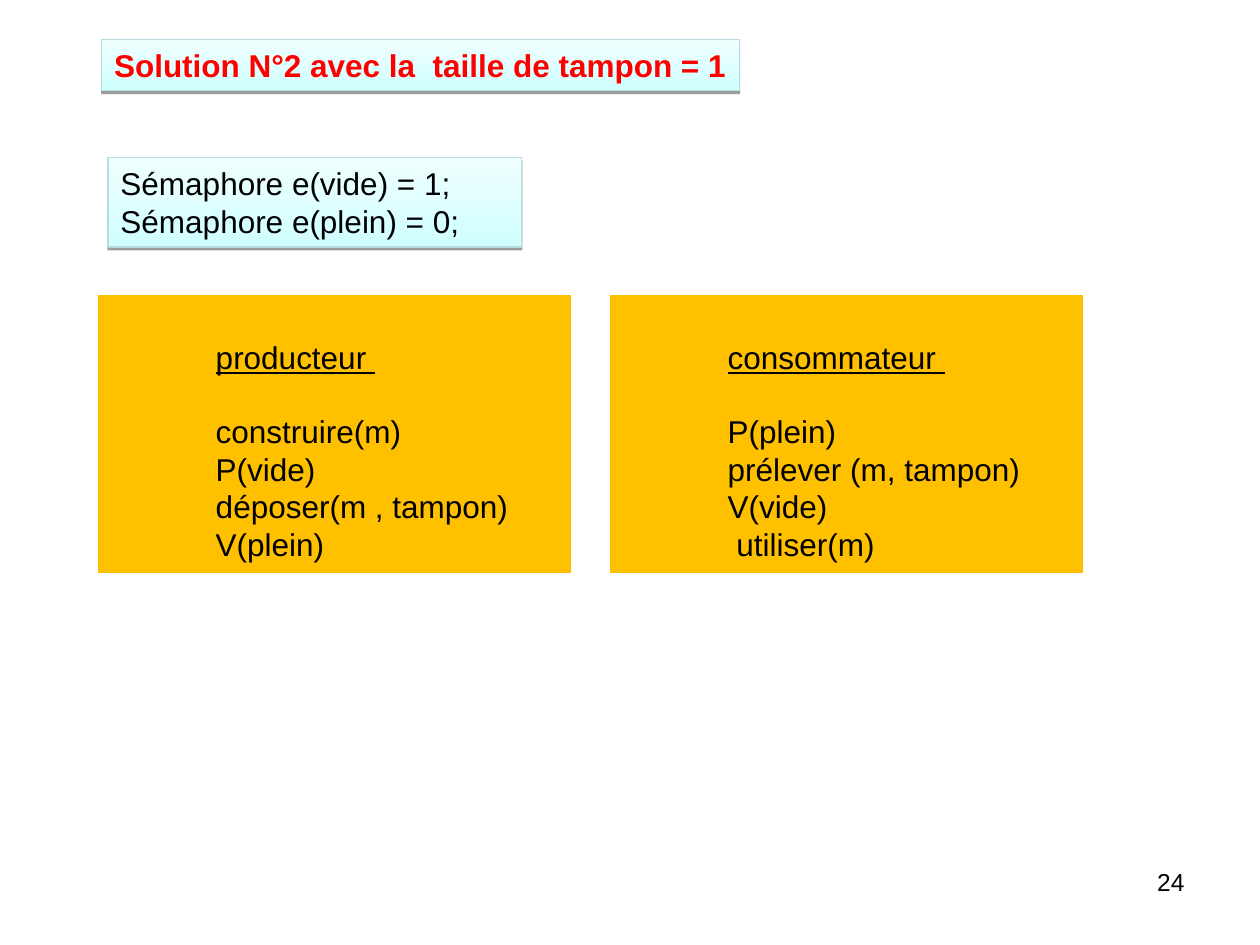
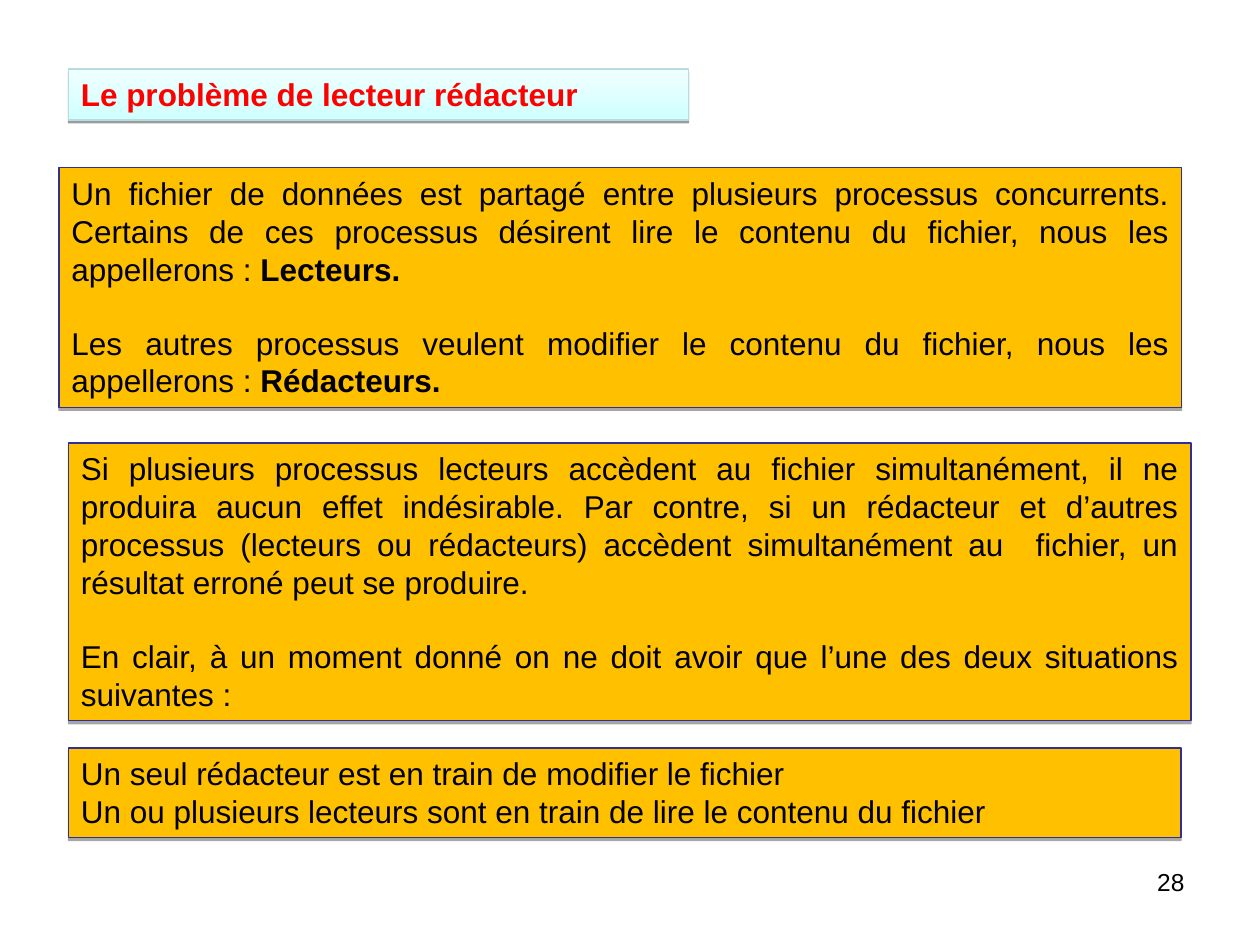
from dataclasses import dataclass

from lxml.etree import SubElement
from pptx import Presentation
from pptx.dml.color import RGBColor
from pptx.enum.shapes import MSO_SHAPE
from pptx.enum.text import MSO_ANCHOR, MSO_AUTO_SIZE, PP_ALIGN
from pptx.oxml.ns import qn
from pptx.util import Cm, Pt


@dataclass(frozen=True)
class Theme:
    font: str = "Arial"
    body: float = 18
    number: float = 14
    gap: float = 20.7  # one body line
    text: str = "000000"
    title: str = "FF0000"
    ice_top: str = "F0FFFF"
    ice_bottom: str = "CFFFFF"
    ice_line: str = "B6DCDF"
    amber: str = "FFC000"
    amber_line: str = "2F2F98"


T = Theme()
TITLE_ONLY = 5


def rgb(value):
    return RGBColor.from_string(value)


# Shape styling
def set_shadow(sp, distance, opacity):
    sp.shadow.inherit = False
    effects = sp._element.spPr.find(qn("a:effectLst"))
    shadow = SubElement(effects, qn("a:outerShdw"), blurRad="0",
                        dist=str(Pt(distance)), dir="5400000",
                        algn="ctr", rotWithShape="0")
    color = SubElement(shadow, qn("a:srgbClr"), val="000000")
    SubElement(color, qn("a:alpha"), val=str(opacity * 1000))


def set_line(sp, color):
    sp.line.color.rgb = rgb(color)
    sp.line.width = Pt(0.75)


def style_ice(sp):
    sp.fill.gradient()
    sp.fill.gradient_angle = 270
    for stop, color in zip(sp.fill.gradient_stops, (T.ice_top, T.ice_bottom)):
        stop.color.rgb = rgb(color)
    set_line(sp, T.ice_line)
    set_shadow(sp, 1.6, 38)


def style_amber(sp, framed=True):
    sp.fill.solid()
    sp.fill.fore_color.rgb = rgb(T.amber)
    if framed:
        set_line(sp, T.amber_line)
        set_shadow(sp, 1.8, 35)
    else:
        sp.line.fill.background()
        sp.shadow.inherit = False


# Text
def format_run(r, color=T.text, size=T.body, bold=False):
    r.font.name = T.font
    r.font.size = Pt(size)
    r.font.bold = bold
    r.font.color.rgb = rgb(color)


def write(sp, lines, align=PP_ALIGN.LEFT, wrap=True, **run_format):
    """Fill a shape with one paragraph per line and return its text frame."""
    tf = sp.text_frame
    tf.text = "\n".join(lines)
    tf.word_wrap = wrap
    tf.auto_size = MSO_AUTO_SIZE.NONE
    tf.vertical_anchor = MSO_ANCHOR.TOP
    tf.margin_left = tf.margin_right = Cm(0.25)
    tf.margin_top = tf.margin_bottom = Cm(0.13)
    for p in tf.paragraphs:
        p.alignment = align
        for r in p.runs:
            format_run(r, **run_format)
    return tf


def add_box(s, x, y, w, h):
    return s.shapes.add_shape(MSO_SHAPE.RECTANGLE, Cm(x), Cm(y), Cm(w), Cm(h))


# Slide frame: title band and page number
def add_slide(prs, title, x, y, w, number):
    s = prs.slides.add_slide(prs.slide_layouts[TITLE_ONLY])
    sp = s.shapes.title
    sp.left, sp.top, sp.width, sp.height = Cm(x), Cm(y), Cm(w), Cm(1.03)
    style_ice(sp)
    write(sp, [title], wrap=False, color=T.title, bold=True)
    page = s.shapes.add_textbox(Cm(18.2), Cm(17.35), Cm(5.93), Cm(1.32))
    write(page, [str(number)], align=PP_ALIGN.RIGHT, size=T.number)
    return s


# Regions
def add_declarations(s, x, y, w, h, lines):
    sp = add_box(s, x, y, w, h)
    style_ice(sp)
    write(sp, lines)


def add_process(s, x, y, w, h, name, steps):
    sp = add_box(s, x, y, w, h)
    style_amber(sp, framed=False)
    tf = write(sp, [name, *steps])
    tf.margin_left, tf.margin_top = Cm(2.37), Cm(0.86)
    heading, first_step = tf.paragraphs[:2]
    heading.runs[0].font.underline = True
    first_step.space_before = Pt(T.gap)


def add_statement(s, x, y, w, h, paragraphs):
    """Each paragraph is a text and the bold term that closes it."""
    sp = add_box(s, x, y, w, h)
    style_amber(sp)
    tf = write(sp, [text for text, _ in paragraphs], align=PP_ALIGN.JUSTIFY)
    for p, (_, term) in zip(tf.paragraphs, paragraphs):
        if term:
            r = p.add_run()
            r.text = term
            format_run(r, bold=True)
    for p in tf.paragraphs[1:]:
        p.space_before = Pt(T.gap)


def add_situations(s, x, y, w, h, lines):
    sp = add_box(s, x, y, w, h)
    style_amber(sp)
    write(sp, lines)


# Slides
def build_semaphore_slide(prs):
    s = add_slide(prs, "Solution N°2 avec la  taille de tampon = 1",
                  2.05, 0.8, 12.86, 24)
    add_declarations(s, 2.18, 3.18, 8.34, 1.8,
                     ["Sémaphore e(vide) = 1;", "Sémaphore e(plein) = 0;"])
    processes = {
        "producteur ": ["construire(m)", "P(vide)",
                        "déposer(m , tampon)", "V(plein)"],
        "consommateur ": ["P(plein)", "prélever (m, tampon)",
                          "V(vide)", " utiliser(m)"],
    }
    for i, (name, steps) in enumerate(processes.items()):
        add_process(s, 1.98 + i * 10.32, 5.95, 9.53, 5.6, name, steps)


def build_reader_writer_slide(prs):
    s = add_slide(prs, "Le problème de lecteur rédacteur",
                  1.38, 1.39, 12.5, 28)
    add_statement(s, 1.19, 3.38, 22.63, 4.83, [
        ("Un fichier de données est partagé entre plusieurs processus "
         "concurrents. Certains de ces processus désirent lire le contenu du "
         "fichier, nous les appellerons : ", "Lecteurs."),
        ("Les autres processus veulent modifier le contenu du fichier, nous "
         "les appellerons : ", "Rédacteurs."),
    ])
    add_statement(s, 1.38, 8.93, 22.63, 5.6, [
        ("Si plusieurs processus lecteurs accèdent au fichier simultanément, "
         "il ne produira aucun effet indésirable. Par contre, si un rédacteur "
         "et d’autres processus (lecteurs ou rédacteurs) accèdent "
         "simultanément au  fichier, un résultat erroné peut se produire.",
         ""),
        ("En clair, à un moment donné on ne doit avoir que l’une des deux "
         "situations suivantes :", ""),
    ])
    add_situations(s, 1.38, 15.08, 22.43, 1.8, [
        "Un seul rédacteur est en train de modifier le fichier",
        "Un ou plusieurs lecteurs sont en train de lire le contenu du fichier",
    ])


def main():
    prs = Presentation()
    prs.slide_width, prs.slide_height = Cm(25.4), Cm(19.05)
    build_semaphore_slide(prs)
    build_reader_writer_slide(prs)
    prs.save("out.pptx")


if __name__ == "__main__":
    main()
